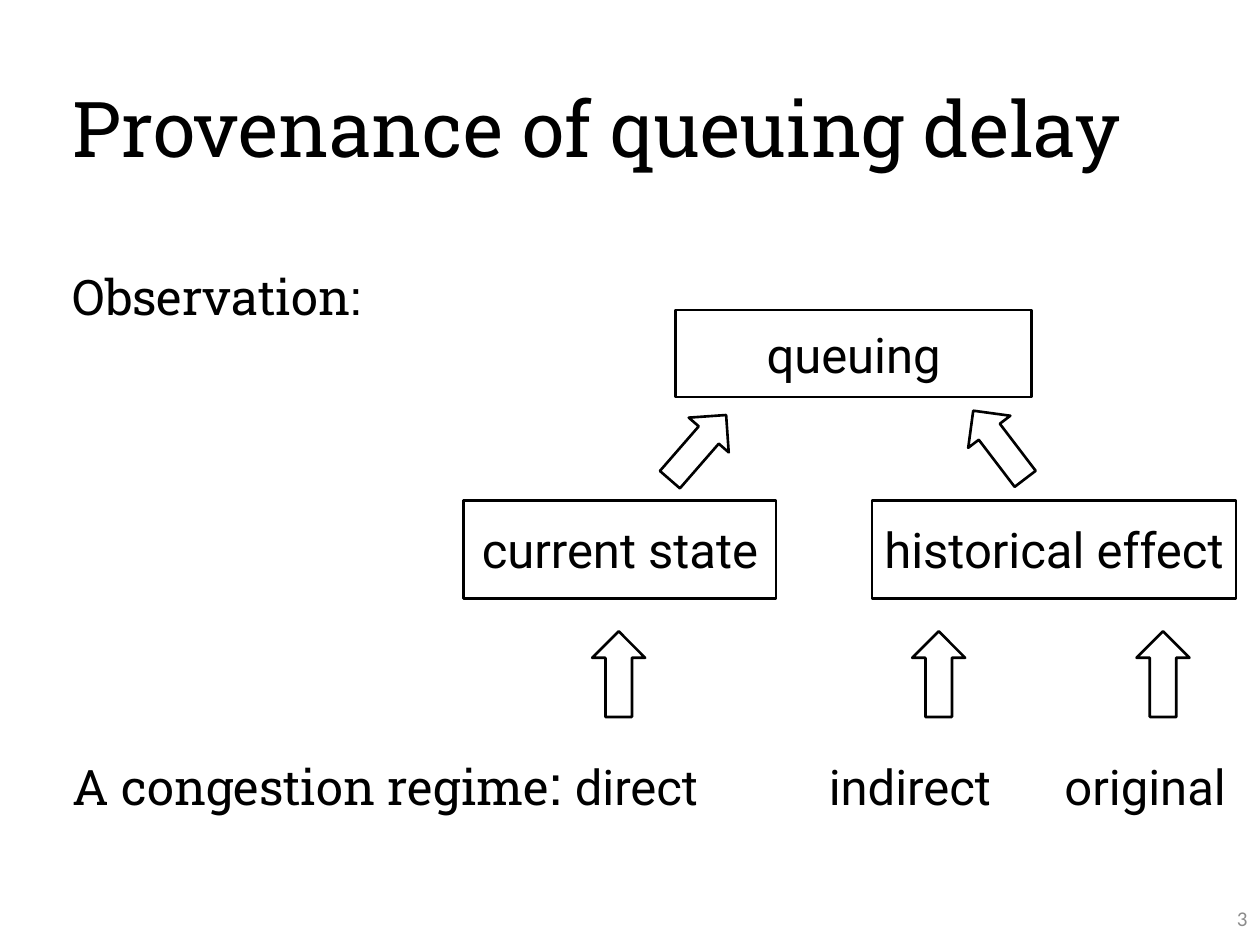
import pptx
import pptx.dml.color
import pptx.enum.shapes
import pptx.enum.text
import pptx.oxml.ns
import pptx.util
from lxml import etree

Inches = pptx.util.Inches
Pt = pptx.util.Pt
KIND = pptx.enum.shapes.MSO_SHAPE
ALIGN = pptx.enum.text.PP_ALIGN
MID = pptx.enum.text.MSO_ANCHOR.MIDDLE
BLACK = "000000"


def paint(item, color):
    """Give a fill or a font a solid colour from a hex string."""
    if hasattr(item, "solid"):
        item.solid()
        item = item.fore_color
    else:
        item = item.color
    item.rgb = pptx.dml.color.RGBColor.from_string(color)


def draw(home, kind, left, top, width, height, turn=0):
    """Add a white shape with a black outline to a shape collection."""
    shape = home.add_shape(kind, Inches(left), Inches(top),
                           Inches(width), Inches(height))
    shape.rotation = turn
    shape.shadow.inherit = False
    paint(shape.fill, "FFFFFF")
    paint(shape.line.fill, BLACK)
    shape.line.width = Pt(1.5)
    return shape


deck = pptx.Presentation()
deck.slide_width, deck.slide_height = Inches(10), Inches(7.5)
slide = deck.slides.add_slide(deck.slide_layouts[6])
group = slide.shapes.add_group_shape()

# Text: home, left, top, width, height, space before, runs of (text, size, font, colour)
SLAB = "Roboto Slab"
texts = [
    (slide.shapes, 0.48, 0.52, 8.62, 1.06, 0,
     [("Provenance of queuing delay", 44, SLAB, BLACK)]),
    (slide.shapes, 0.48, 2.12, 3.12, 0.74, 10,
     [("Observation:", 28, SLAB, BLACK)]),
    (slide.shapes, 7.75, 7.09, 2.25, 0.4, 0,
     [("3", 12, "Calibri", "8C8C8C")]),
    (group.shapes, 0.48, 5.96, 9.5, 0.74, 10,
     [("A congestion regime", 28, SLAB, BLACK),
      (": ", 32, SLAB, BLACK),
      ("direct\tindirect\toriginal", 28, "Roboto", BLACK)]),
]
frames = []
for home, left, top, width, height, space, runs in texts:
    box = home.add_textbox(Inches(left), Inches(top), Inches(width), Inches(height))
    frame = box.text_frame
    frame.word_wrap = True
    para = frame.paragraphs[0]
    para.line_spacing = 0.9
    para.space_before = Pt(space)
    for words, size, face, color in runs:
        run = para.add_run()
        run.text = words
        run.font.size = Pt(size)
        run.font.name = face
        paint(run.font, color)
    frames.append(frame)

title, label, number, regime = frames
title.vertical_anchor = number.vertical_anchor = MID
number.paragraphs[0].alignment = ALIGN.RIGHT
number.paragraphs[0].line_spacing = 1.0

# Tab stops place each effect below its arrow
props = regime.paragraphs[0]._p.get_or_add_pPr()
tabs = etree.SubElement(props, pptx.oxml.ns.qn("a:tabLst"))
for stop in (6.0, 7.87):
    etree.SubElement(tabs, pptx.oxml.ns.qn("a:tab"),
                     pos=str(Inches(stop)), algn="l")

# Boxes
for words, left, top, width, height in [
    ("queuing", 5.36, 2.46, 2.83, 0.69),
    ("current state", 3.68, 3.97, 2.48, 0.78),
    ("historical effect", 6.92, 3.97, 2.89, 0.78),
]:
    box = draw(slide.shapes, KIND.RECTANGLE, left, top, width, height)
    frame = box.text_frame
    frame.text = words
    frame.margin_left = frame.margin_right = Inches(0.05)
    frame.vertical_anchor = MID
    para = frame.paragraphs[0]
    para.alignment = ALIGN.CENTER
    font = para.runs[0].font
    font.size = Pt(28)
    font.name = "Roboto"
    paint(font, BLACK)

# Arrows
for home, left, top, turn in [
    (slide.shapes, 5.33, 3.21, 221),
    (slide.shapes, 7.72, 3.19, 142.7),
    (group.shapes, 4.7, 5.01, 180),
    (group.shapes, 7.24, 5.01, 180),
    (group.shapes, 9.02, 5.01, 180),
]:
    draw(home, KIND.DOWN_ARROW, left, top, 0.42, 0.68, turn)

deck.save("out.pptx")
